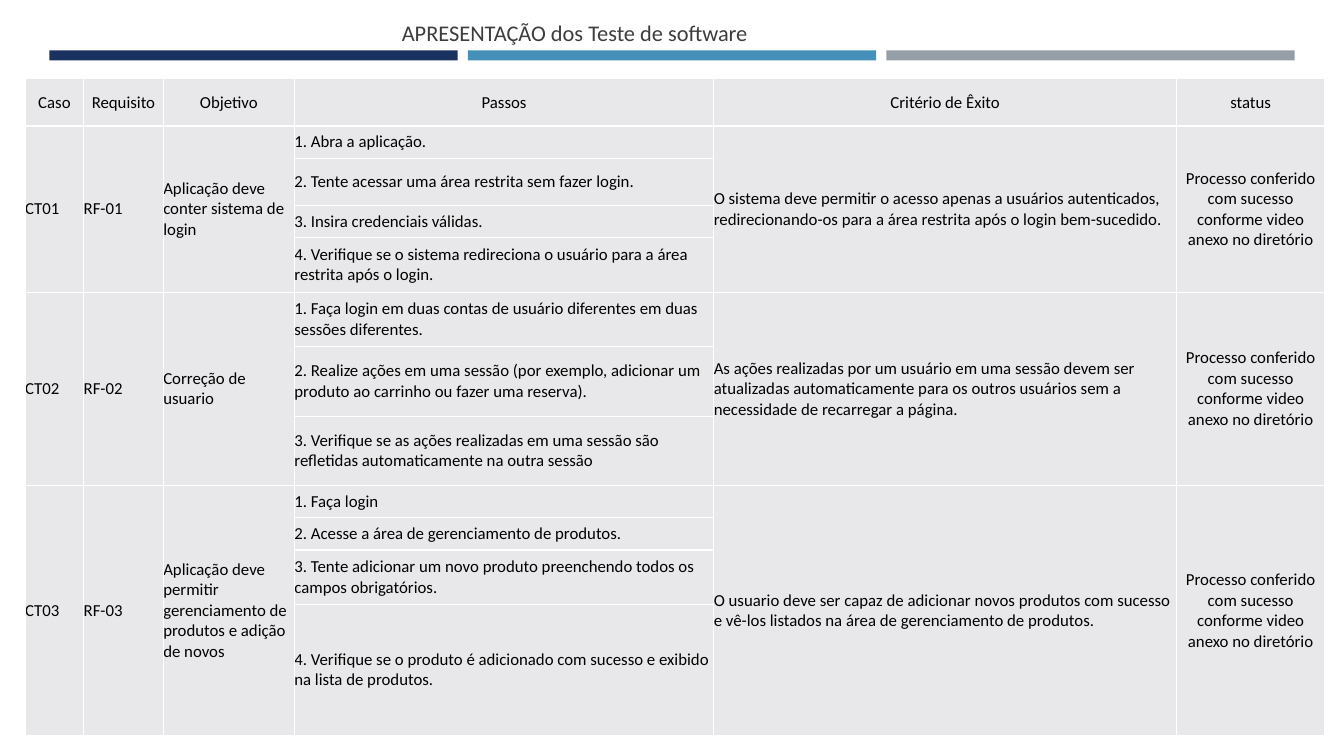
"""Builds the slide with the table of software test cases."""
from lxml import etree
from pptx import Presentation
from pptx.dml.color import RGBColor
from pptx.enum.shapes import MSO_SHAPE
from pptx.enum.text import MSO_ANCHOR, PP_ALIGN
from pptx.oxml.ns import qn
from pptx.util import Inches, Pt

RECT = MSO_SHAPE.RECTANGLE
MIDDLE = MSO_ANCHOR.MIDDLE
LEFT, CENTER = PP_ALIGN.LEFT, PP_ALIGN.CENTER

TITLE = "APRESENTAÇÃO dos Teste de software"
BARS = ["1A3260", "4590B8", "969FA7"]
HEADS = ["Caso", "Requisito", "Objetivo", "Passos", "Critério de Êxito", "status"]
STATUS = "Processo conferido com sucesso conforme video anexo no diretório"
CASES = [
    ("CT01", "RF-01", "Aplicação deve conter sistema de login",
     ["1. Abra a aplicação.",
      "2. Tente acessar uma área restrita sem fazer login.",
      "3. Insira credenciais válidas.",
      "4. Verifique se o sistema redireciona o usuário para a área restrita após o login."],
     "O sistema deve permitir o acesso apenas a usuários autenticados, "
     "redirecionando-os para a área restrita após o login bem-sucedido."),
    ("CT02", "RF-02", "Correção de usuario",
     ["1. Faça login em duas contas de usuário diferentes em duas sessões diferentes.",
      "2. Realize ações em uma sessão (por exemplo, adicionar um produto ao carrinho "
      "ou fazer uma reserva).",
      "3. Verifique se as ações realizadas em uma sessão são refletidas "
      "automaticamente na outra sessão"],
     "As ações realizadas por um usuário em uma sessão devem ser atualizadas "
     "automaticamente para os outros usuários sem a necessidade de recarregar a página."),
    ("CT03", "RF-03",
     "Aplicação deve permitir gerenciamento de produtos e adição de novos",
     ["1. Faça login",
      "2. Acesse a área de gerenciamento de produtos.",
      "3. Tente adicionar um novo produto preenchendo todos os campos obrigatórios.",
      "4. Verifique se o produto é adicionado com sucesso e exibido na lista de produtos."],
     "O usuario deve ser capaz de adicionar novos produtos com sucesso e vê-los "
     "listados na área de gerenciamento de produtos."),
]
WIDTHS = [0.58, 0.79, 1.3, 4.16, 4.59, 1.47]
HEIGHTS = [0.47, 0.32, 0.47, 0.32, 0.54, 0.54, 0.69, 0.69, 0.32, 0.32, 0.54, 1.3]
STEP_COL, STATUS_COL = 3, 5
CELL = {"margin_left": 0, "margin_right": 0, "margin_top": 0, "margin_bottom": 0,
        "vertical_anchor": MIDDLE}


def paint(fill, color):
    fill.solid()
    fill.fore_color.rgb = RGBColor.from_string(color)


def write(frame, text, size, color, align):
    para = frame.paragraphs[0]
    para.alignment = align
    run = para.add_run()
    run.text = text
    for name, value in {"name": "Calibri", "size": Pt(size)}.items():
        setattr(run.font, name, value)
    paint(run.font.fill, color)


def style(cell):
    for name, value in CELL.items():
        setattr(cell, name, value)
    props = cell._tc.get_or_add_tcPr()
    for side in ("lnL", "lnR", "lnT", "lnB"):
        line = etree.SubElement(props, qn("a:" + side), w=str(Pt(1)))
        solid = etree.SubElement(line, qn("a:solidFill"))
        etree.SubElement(solid, qn("a:srgbClr"), val="FFFFFF")
    paint(cell.fill, "E8E8EA")


def add_bars(slide):
    for i, color in enumerate(BARS):
        bar = slide.shapes.add_shape(RECT, Inches(0.49 + 4.15 * i), Inches(0.5),
                                     Inches(4.05), Inches(0.1))
        bar.shadow.inherit = False
        paint(bar.fill, color)
        bar.line.fill.background()


def add_cases(slide):
    table = slide.shapes.add_table(
        len(HEIGHTS), len(WIDTHS), Inches(0.25), Inches(0.78),
        Inches(sum(WIDTHS)), Inches(sum(HEIGHTS))).table
    for col, width in zip(table.columns, WIDTHS):
        col.width = Inches(width)
    for row, height in zip(table.rows, HEIGHTS):
        row.height = Inches(height)
    for cell in table.iter_cells():
        style(cell)

    def put(row, col, text, align):
        write(table.cell(row, col).text_frame, text, 12, "000000", align)

    for col, head in enumerate(HEADS):
        put(0, col, head, CENTER)
    top = 1
    for code, need, goal, steps, proof in CASES:
        last = top + len(steps) - 1
        for col, text in enumerate((code, need, goal, None, proof, STATUS)):
            if col != STEP_COL:
                table.cell(top, col).merge(table.cell(last, col))
                put(top, col, text, CENTER if col == STATUS_COL else LEFT)
        for row, step in enumerate(steps, top):
            put(row, STEP_COL, step, LEFT)
        top = last + 1


def main():
    deck = Presentation()
    deck.slide_width, deck.slide_height = Inches(13.33), Inches(7.5)
    slide = deck.slides.add_slide(deck.slide_layouts[6])
    add_bars(slide)
    add_cases(slide)
    frame = slide.shapes.add_textbox(Inches(-0.31), Inches(0.14),
                                     Inches(12.02), Inches(0.65)).text_frame
    frame.word_wrap = True
    write(frame, TITLE, 16, "3D3D3D", CENTER)
    deck.save("out.pptx")


if __name__ == "__main__":
    main()
